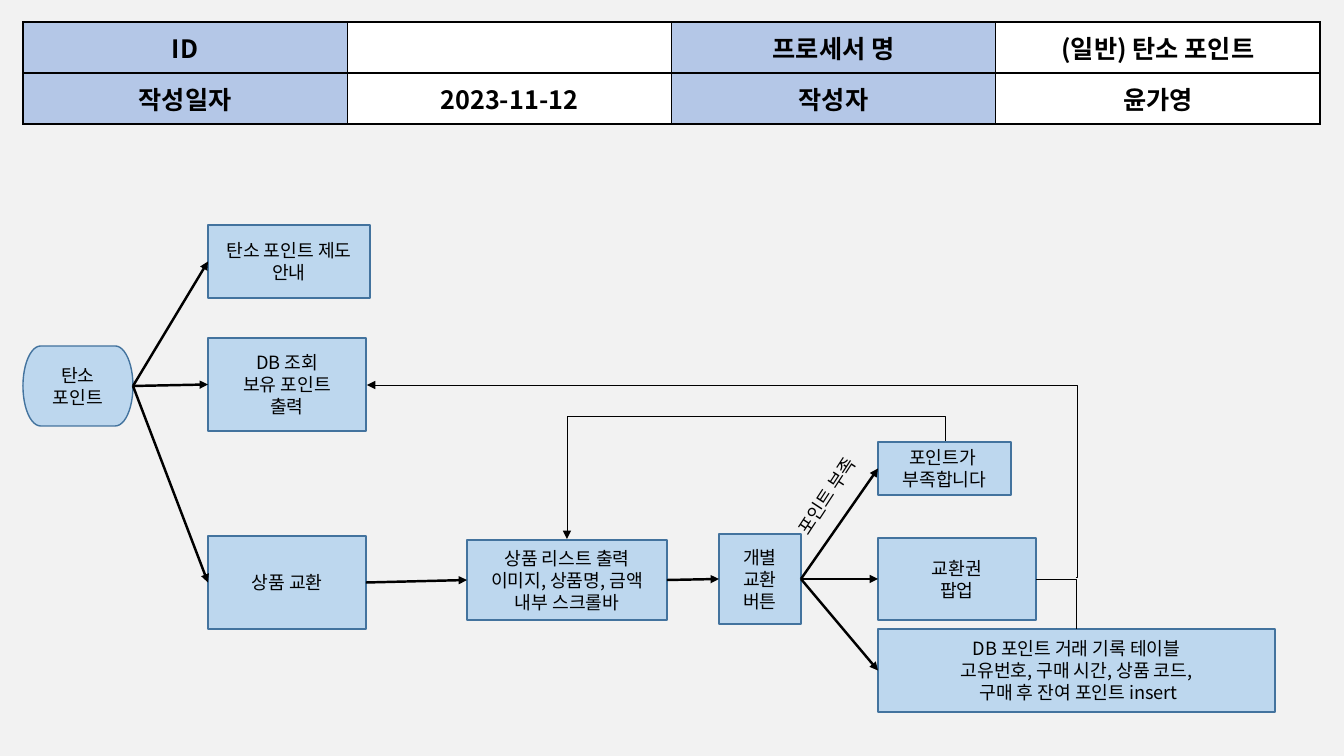
from pptx import Presentation
from pptx import util as u
from pptx.dml.color import RGBColor
from pptx.enum import shapes, text
from pptx.oxml.ns import qn
from lxml import etree

# Content
HEADER = [["ID", "", "프로세서 명", "(일반) 탄소 포인트"],
          ["작성일자", "2023-11-12", "작성자", "윤가영"]]
HEADER_AREA = (23, 22, 1297, 102)
BOXES = {  # name: (left, top, width, height), lines
    "start": ((23, 346, 110, 80), ["탄소", "포인트"]),
    "guide": ((208, 225, 162, 73), ["탄소 포인트 제도", "안내"]),
    "balance": ((208, 338, 158, 93), ["DB 조회", "보유 포인트", "출력"]),
    "exchange": ((208, 536, 158, 93), ["상품 교환"]),
    "list": ((467, 540, 200, 80),
             ["상품 리스트 출력", "이미지, 상품명, 금액", "내부 스크롤바"]),
    "button": ((719, 534, 82, 90), ["개별", "교환", "버튼"]),
    "lack": ((878, 442, 133, 53), ["포인트가 ", "부족합니다"]),
    "popup": ((878, 538, 158, 82), ["교환권", "팝업"]),
    "record": ((878, 629, 397, 83),
               ["DB 포인트 거래 기록 테이블", "고유번호, 구매 시간, 상품 코드,",
                " 구매 후 잔여 포인트 insert"]),
}
ARROWS = [("start", "guide"), ("start", "balance"), ("start", "exchange"),
          ("exchange", "list"), ("list", "button"), ("button", "lack"),
          ("button", "popup"), ("button", "record")]
ELBOWS = [  # frame before turning, preset, transform, bend, arrowhead
    ((707, 301, 98, 378), "bentConnector3",
     {"rot": "16200000", "flipH": "1", "flipV": "1"}, -25700, True),
    ((1036, 579, 40, 50), "bentConnector2", {}, None, False),
    ((367, 385, 709, 192), "bentConnector3", {"rot": "10800000"}, -240, True),
]
BRANCH_LABEL = ("포인트 부족", (770, 475, 120, 32), 303.1)

FONT = "Noto Sans CJK KR"
BACKGROUND = RGBColor(0xF2, 0xF2, 0xF2)
HEADING = RGBColor(0xB4, 0xC7, 0xE7)
WHITE = RGBColor(0xFF, 0xFF, 0xFF)
BLACK = RGBColor(0, 0, 0)
BOX_FILL = RGBColor(0xBD, 0xD7, 0xEE)
BOX_LINE = RGBColor(0x43, 0x73, 0x9E)
SCALE = u.Inches(7.5) / 756


def px(*lengths):
    return [u.Emu(round(length * SCALE)) for length in lengths]


def write(frame, lines, size=13, bold=False, align=text.PP_ALIGN.CENTER):
    for index, line in enumerate(lines):
        para = frame.paragraphs[0] if index == 0 else frame.add_paragraph()
        para.alignment = align
        para.font.size = u.Pt(size)
        if not line:
            continue
        span = para.add_run()
        span.text = line
        span.font.size, span.font.bold = u.Pt(size), bold
        span.font.color.rgb = BLACK
        span.font.name = FONT
        etree.SubElement(span.font._element, qn("a:ea"), typeface=FONT)


def style_line(connector, width, arrow):
    connector.line.color.rgb = BLACK
    connector.line.width = u.Pt(width)
    if arrow:
        etree.SubElement(connector.line._get_or_add_ln(), qn("a:tailEnd"), type="triangle")
    etree.SubElement(connector._element.spPr, qn("a:effectLst"))


def border(cell):
    properties = cell._tc.get_or_add_tcPr()
    for side in ("lnL", "lnR", "lnT", "lnB"):
        line = etree.SubElement(properties, qn("a:" + side), w=str(u.Pt(1)))
        fill = etree.SubElement(line, qn("a:solidFill"))
        etree.SubElement(fill, qn("a:srgbClr"), val=str(BLACK))


def add_header(page):
    rows, columns = len(HEADER), len(HEADER[0])
    table = page.shapes.add_table(rows, columns, *px(*HEADER_AREA)).table
    for row, values in enumerate(HEADER):
        for column, value in enumerate(values):
            cell = table.cell(row, column)
            border(cell)
            cell.fill.solid()
            cell.fill.fore_color.rgb = WHITE if column % 2 else HEADING
            cell.vertical_anchor = text.MSO_ANCHOR.MIDDLE
            write(cell.text_frame, [value], size=18, bold=True)


def add_box(page, name, area, lines):
    kinds = shapes.MSO_SHAPE
    kind = kinds.FLOWCHART_TERMINATOR if name == "start" else kinds.RECTANGLE
    box = page.shapes.add_shape(kind, *px(*area))
    box.shadow.inherit = False
    box.fill.solid()
    box.fill.fore_color.rgb = BOX_FILL
    box.line.color.rgb = BOX_LINE
    box.line.width = u.Pt(1)
    box.text_frame.vertical_anchor = text.MSO_ANCHOR.MIDDLE
    write(box.text_frame, lines)
    return box


def add_elbow(page, area, preset, transform, bend, arrow):
    left, top, width, height = area
    connector = page.shapes.add_connector(
        shapes.MSO_CONNECTOR.ELBOW, *px(left, top, left + width, top + height))
    properties = connector._element.spPr
    for key, value in transform.items():
        properties.find(qn("a:xfrm")).set(key, value)
    geometry = properties.find(qn("a:prstGeom"))
    geometry.set("prst", preset)
    if bend is not None:
        etree.SubElement(geometry.find(qn("a:avLst")), qn("a:gd"),
                         name="adj1", fmla=f"val {bend}")
    style_line(connector, 0.5, arrow)


def main():
    deck = Presentation()
    deck.slide_width, deck.slide_height = px(1344, 756)
    page = deck.slides.add_slide(deck.slide_layouts[6])
    page.background.fill.solid()
    page.background.fill.fore_color.rgb = BACKGROUND

    add_header(page)

    # Steps, joined from right side to left side
    boxes = {name: add_box(page, name, *parts) for name, parts in BOXES.items()}
    for source, target in ARROWS:
        arrow = page.shapes.add_connector(shapes.MSO_CONNECTOR.STRAIGHT, 0, 0, 0, 0)
        arrow.begin_connect(boxes[source], 3)
        arrow.end_connect(boxes[target], 1)
        style_line(arrow, 1.75, True)

    # Return paths
    for elbow in ELBOWS:
        add_elbow(page, *elbow)

    # Slanted label on the branch
    wording, area, angle = BRANCH_LABEL
    label = page.shapes.add_textbox(*px(*area))
    label.rotation = angle
    label.text_frame.word_wrap = True
    write(label.text_frame, [wording], align=text.PP_ALIGN.LEFT)

    deck.save("out.pptx")


if __name__ == "__main__":
    main()
